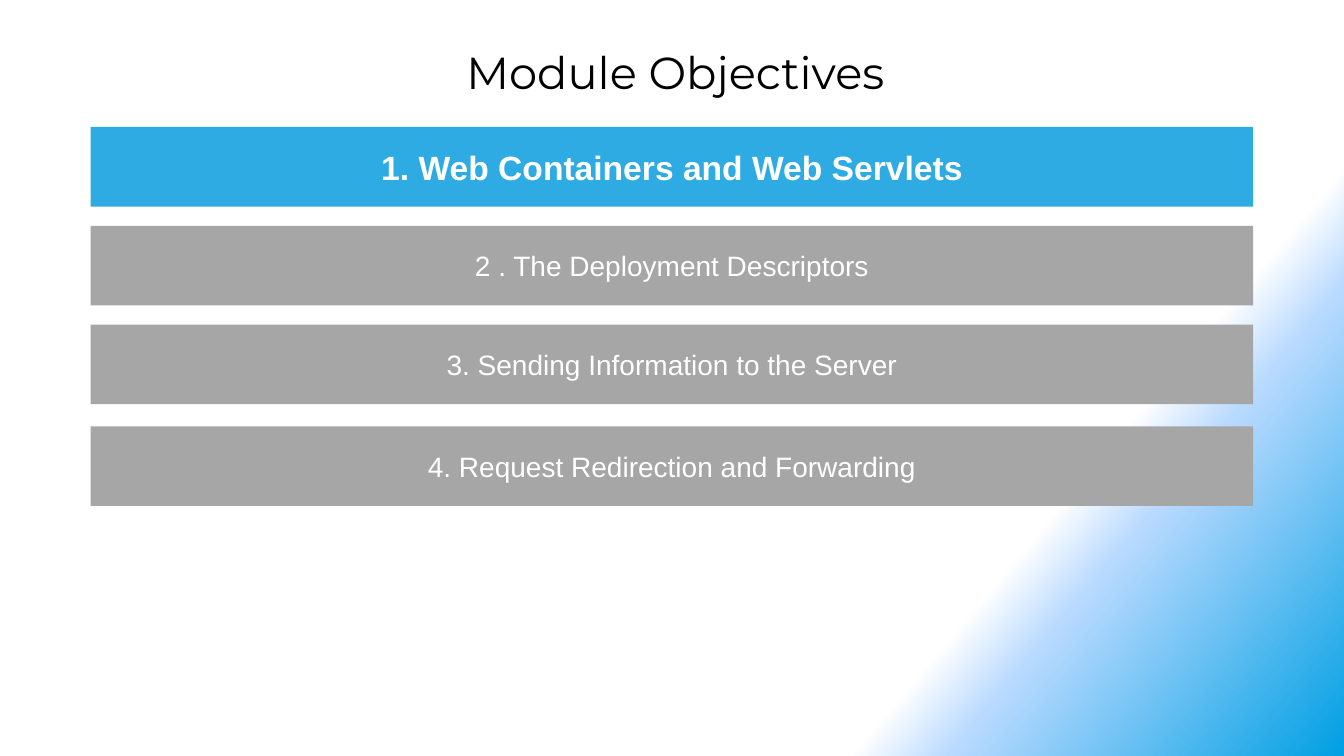
from lxml.etree import SubElement
from pptx import Presentation
from pptx.dml.color import RGBColor
from pptx.enum.shapes import MSO_SHAPE
from pptx.enum.text import MSO_ANCHOR, MSO_AUTO_SIZE, PP_ALIGN
from pptx.oxml.ns import qn
from pptx.util import Inches, Pt

WIDTH, HEIGHT = 13.33, 7.5
BAR_LEFT, BAR_WIDTH, BAR_HEIGHT = 0.9, 11.53, 0.79

ACTIVE = {"size": Pt(24), "name": "Arial", "bold": True}
INACTIVE = {"size": Pt(20), "name": "Arial", "bold": False}
TITLE = {"size": Pt(32), "name": "Montserrat"}

# Position (%), colour, opacity (%)
BACKGROUND_STOPS = [(75, "FFFFFF", 100), (80, "B9DAFF", 50), (100, "009FE3", 100)]
BACKGROUND_ANGLE = 40

# Top of the bar, text, fill, font
OBJECTIVES = [
    (1.26, "1. Web Containers and Web Servlets", "2EABE2", ACTIVE),
    (2.24, "2 . The Deployment Descriptors", "A6A6A6", INACTIVE),
    (3.22, "3. Sending Information to the Server", "A6A6A6", INACTIVE),
    (4.23, "4. Request Redirection and Forwarding", "A6A6A6", INACTIVE),
]


def rgb(value):
    return RGBColor.from_string(value)


def box(left, top, width, height):
    return [Inches(v) for v in (left, top, width, height)]


def set_background(s):
    """Fill the slide with the three-stop linear gradient."""
    s.background.fill.gradient()
    grad = s.element.find(".//" + qn("a:gradFill"))
    for child in list(grad):
        grad.remove(child)
    stops = SubElement(grad, qn("a:gsLst"))
    for position, color, opacity in BACKGROUND_STOPS:
        stop = SubElement(stops, qn("a:gs"), pos=str(position * 1000))
        clr = SubElement(stop, qn("a:srgbClr"), val=color)
        if opacity < 100:
            SubElement(clr, qn("a:alpha"), val=str(opacity * 1000))
    SubElement(grad, qn("a:lin"), ang=str(BACKGROUND_ANGLE * 60000), scaled="0")


def write_centred(sp, text, color, font):
    tf = sp.text_frame
    tf.word_wrap = True
    tf.vertical_anchor = MSO_ANCHOR.MIDDLE
    p = tf.paragraphs[0]
    p.alignment = PP_ALIGN.CENTER
    r = p.add_run()
    r.text = text
    r.font.color.rgb = rgb(color)
    for name, value in font.items():
        setattr(r.font, name, value)


def add_objective(s, top, text, fill, font):
    sp = s.shapes.add_shape(
        MSO_SHAPE.RECTANGLE, *box(BAR_LEFT, top, BAR_WIDTH, BAR_HEIGHT))
    sp.shadow.inherit = False
    sp.fill.solid()
    sp.fill.fore_color.rgb = rgb(fill)
    sp.line.fill.background()
    write_centred(sp, text, "FFFFFF", font)


def add_title(s, text):
    sp = s.shapes.add_textbox(*box(0.67, 0.39, 12.06, 0.64))
    write_centred(sp, text, "000000", TITLE)
    sp.text_frame.auto_size = MSO_AUTO_SIZE.SHAPE_TO_FIT_TEXT


def main():
    prs = Presentation()
    prs.slide_width, prs.slide_height = Inches(WIDTH), Inches(HEIGHT)
    s = prs.slides.add_slide(prs.slide_layouts[6])
    set_background(s)
    for objective in reversed(OBJECTIVES):
        add_objective(s, *objective)
    add_title(s, "Module Objectives")
    prs.save("out.pptx")


if __name__ == "__main__":
    main()
